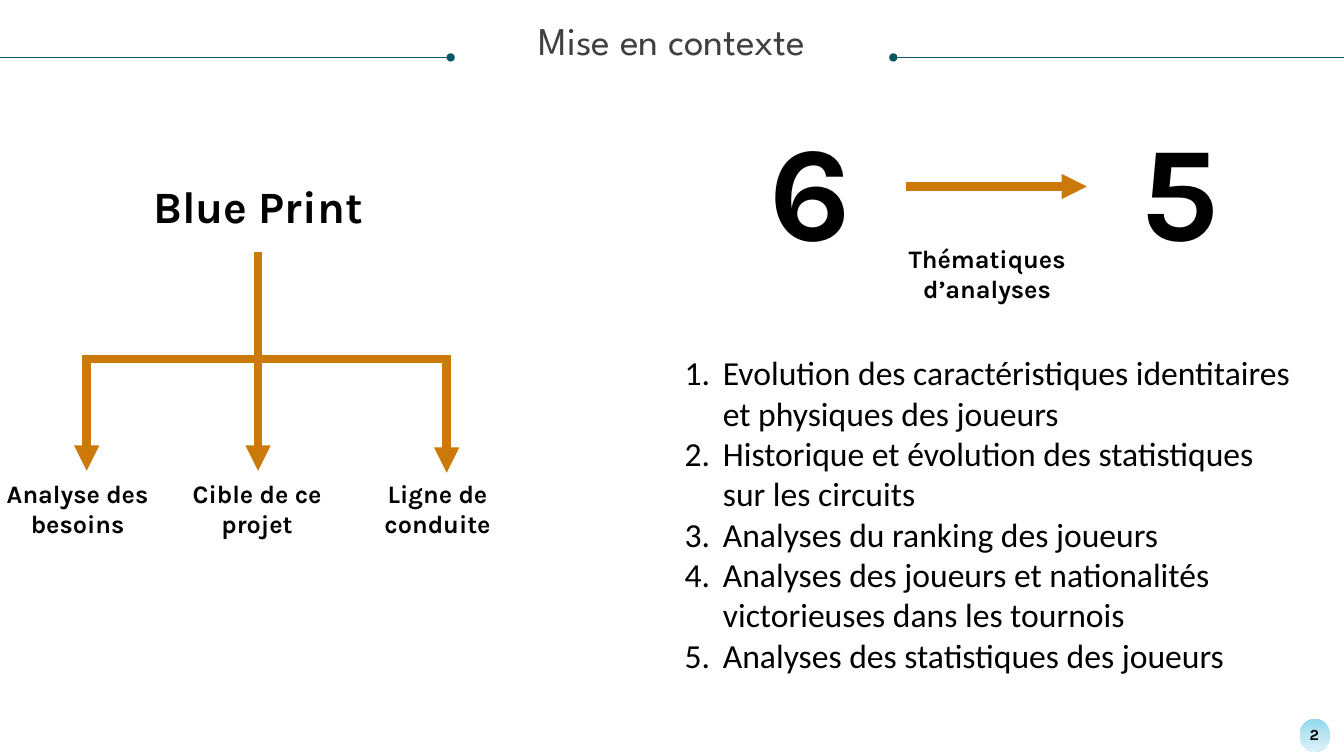
from copy import deepcopy

from lxml.etree import SubElement
from pptx import Presentation
from pptx.dml.color import RGBColor
from pptx.enum.shapes import MSO_CONNECTOR as Connector, MSO_SHAPE as Shape
from pptx.enum.text import MSO_ANCHOR as Anchor, MSO_AUTO_SIZE as AutoSize, PP_ALIGN as Align
from pptx.oxml.ns import qn
from pptx.util import Inches, Pt

TEAL, ORANGE, BLACK, GREY = "085764", "CB7A09", "000000", "404040"
WIDTH, HEIGHT = 13.33, 7.5

deck = Presentation()
deck.slide_width, deck.slide_height = Inches(WIDTH), Inches(HEIGHT)
page = deck.slides.add_slide(deck.slide_layouts[6])


def add_text(place, lines, size, font="Karla", color=BLACK, bold=True,
             anchor=Anchor.MIDDLE, spacing=None, numbered=False):
    """Place (left, top, width, height) in inches; numbered lines align left."""
    box = page.shapes.add_textbox(*map(Inches, place))
    frame = box.text_frame
    margins = dict.fromkeys(("margin_left", "margin_top", "margin_right", "margin_bottom"), 0)
    settings = {"word_wrap": True, "auto_size": AutoSize.SHAPE_TO_FIT_TEXT,
                "vertical_anchor": anchor, **margins}
    for name, value in settings.items():
        setattr(frame, name, value)
    frame.text = "\n".join(lines)
    for para in frame.paragraphs:
        para.alignment = Align.LEFT if numbered else Align.CENTER
        para.line_spacing = spacing
        if numbered:
            props = para._p.get_or_add_pPr()
            props.set("marL", str(Inches(0.38)))
            props.set("indent", str(-Inches(0.38)))
            SubElement(props, qn("a:buFont"), typeface="+mj-lt")
            SubElement(props, qn("a:buAutoNum"), type="arabicPeriod")
        for span in para.runs:
            for name, value in {"size": Pt(size), "name": font, "bold": bold}.items():
                setattr(span.font, name, value)
            span.font.color.rgb = RGBColor.from_string(color)


def add_line(start, end, color=ORANGE, weight=6, **ends):
    """Join two points; ends may give headEnd or tailEnd a marker type."""
    line = page.shapes.add_connector(Connector.STRAIGHT, *map(Inches, (*start, *end)))
    line.line.color.rgb = RGBColor.from_string(color)
    line.line.width = Pt(weight)
    for tag, marker in ends.items():
        SubElement(line.line._get_or_add_ln(), qn(f"a:{tag}"), type=marker)
    SubElement(line._element.spPr, qn("a:effectLst"))


# Title between two rules
rule_y, rule_length = 0.57, 4.47
add_line((WIDTH - rule_length, rule_y), (WIDTH, rule_y), TEAL, 0.5, headEnd="oval")
add_text((0.25, 0.21, WIDTH - 0.5, 0.85), ["Mise en contexte"], 28, "League Spartan",
         GREY, bold=False, anchor=Anchor.TOP, spacing=0.9)
add_line((0, rule_y), (rule_length, rule_y), TEAL, 0.5, tailEnd="oval")

# Blueprint tree
add_text((1.38, 1.77, 2.36, 0.54), ["Blue Print"], 32)
add_line((0.82, 3.56), (4.47, 3.56))
branches = [
    ("Analyse des besoins", -0.03, 0.86, 3.52, 4.67),
    ("Cible de ce projet", 1.75, 2.56, 2.5, 4.67),
    ("Ligne de conduite", 3.54, 4.43, 3.55, 4.69),
]
for label, left, x, top, bottom in branches:
    add_text((left, 4.74, 1.6, 0.61), [label], 18)
    add_line((x, top), (x, bottom), tailEnd="triangle")

# From six themes to five
for number, left in (("6", 6.86), ("5", 10.52)):
    add_text((left, 1.04, 2.36, 1.62), [number], 96)
add_line((8.99, 1.85), (10.78, 1.85), tailEnd="triangle")
add_text((8.99, 2.41, 1.6, 0.61), ["Thématiques d’analyses"], 18)

themes = [
    "Evolution des caractéristiques identitaires et physiques des joueurs",
    "Historique et évolution des statistiques sur les circuits",
    "Analyses du ranking des joueurs",
    "Analyses des joueurs et nationalités victorieuses dans les tournois",
    "Analyses des statistiques des joueurs",
]
add_text((6.79, 3.48, 6.06, 3.23), themes, 24, "Calibri", bold=False, numbered=True)

# Page number badge
badge = page.shapes.add_shape(Shape.OVAL, *map(Inches, (12.89, 7.13, 0.3, 0.33)))
badge.shadow.inherit = False
badge.line.fill.background()
badge.fill.gradient()
badge.fill.gradient_angle = 270
first_stop = badge._element.spPr.find(".//" + qn("a:gs"))
first_stop.addnext(deepcopy(first_stop))
shades = ("8ED8EE", "BBE5F3", "DEF1F8")
for index, (stop, shade) in enumerate(zip(badge.fill.gradient_stops, shades)):
    stop.position = index / 2
    stop.color.rgb = RGBColor.from_string(shade)
add_text((12.81, 7.19, 0.45, 0.19), ["2"], 11)

deck.save("out.pptx")
